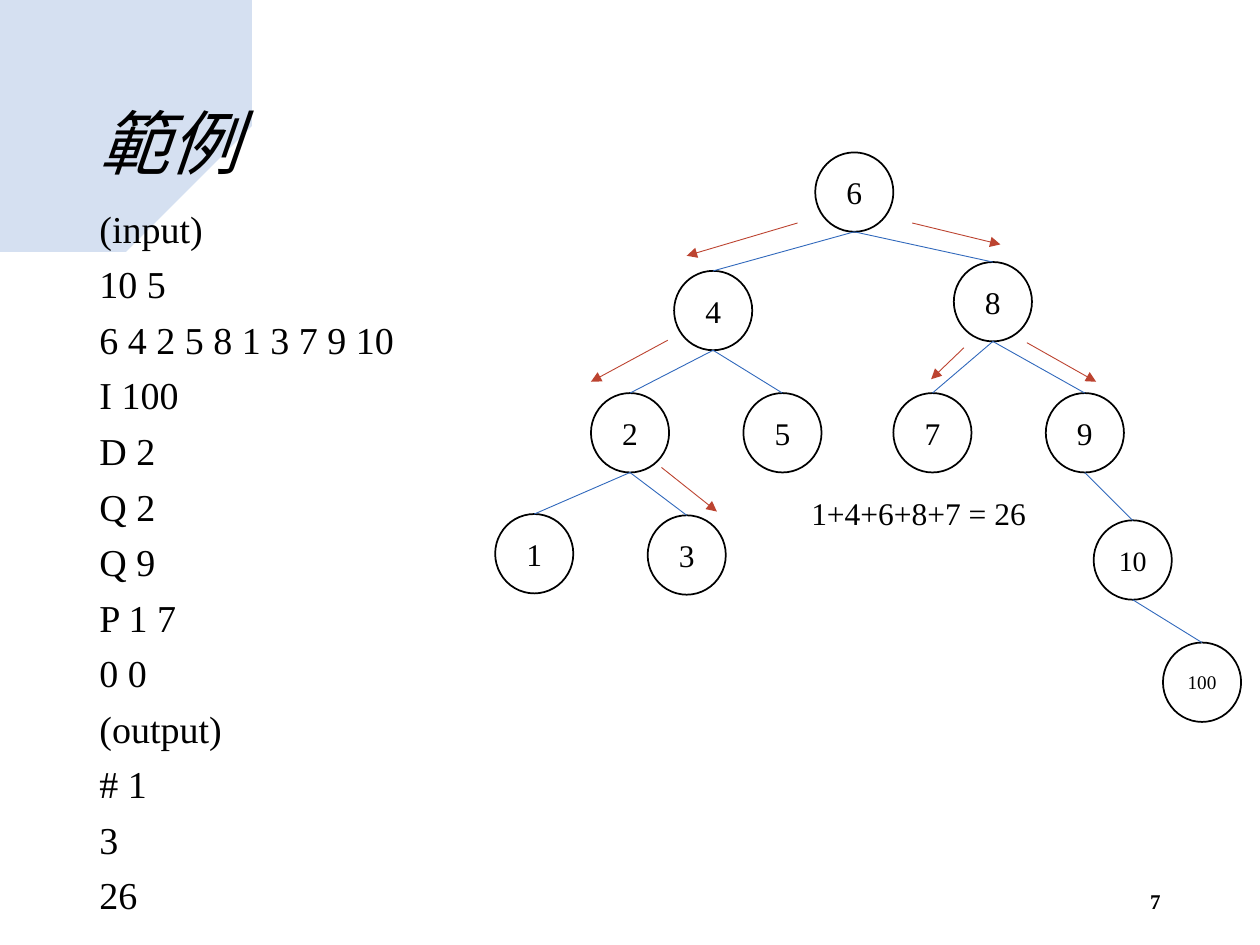
"""Builds the binary search tree example slide."""
from pptx import Presentation, util as u
from pptx.dml.color import RGBColor
from pptx.enum import shapes as sh, text as tx
from pptx.oxml.ns import qn
from lxml import etree

THEME = {
    "ink": RGBColor.from_string("000000"),
    "paper": RGBColor.from_string("FFFFFF"),
    "blue": RGBColor.from_string("3068BC"),
    "red": RGBColor.from_string("BC4330"),
    "head": "Arial", "body": "Times New Roman",
    "title": 40, "list": 21.7, "label": 18, "page": 12,
}
TITLE = "範例"
LINES = ["(input)", "10 5", "6 4 2 5 8 1 3 7 9 10", "I 100", "D 2", "Q 2", "Q 9",
         "P 1 7", "0 0", "(output)", "# 1", "3", "26"]
SUM = "1+4+6+8+7 = 26"
PAGE = "7"
WIDE, HIGH = 0.62, 0.63
NODES = {
    "6": (6.47, 1.21), "4": (5.35, 2.15), "8": (7.57, 2.08),
    "2": (4.69, 3.12), "5": (5.9, 3.12), "7": (7.09, 3.12), "9": (8.3, 3.12),
    "1": (3.93, 4.08), "3": (5.14, 4.09), "10": (8.68, 4.13), "100": (9.23, 5.1),
}
SIZES = {"10": 16, "100": 11}
TREE = {"6": ["4", "8"], "4": ["2", "5"], "8": ["7", "9"], "2": ["1", "3"],
        "9": ["10"], "10": ["100"]}
STEPS = [(6.33, 1.77, 5.45, 2.03), (5.3, 2.7, 4.69, 3.03), (5.25, 3.71, 5.69, 4.06),
         (7.24, 1.77, 7.94, 1.94), (8.15, 2.72, 8.7, 3.03), (7.65, 2.76, 7.39, 3.01)]
BRUSH = [(0, 0.34), (0.5, 0.38), (1.13, 0.38), (1.46, 0.41), (1.98, 0.4), (2.1, 0.47),
         (1.91, 0.54), (1.97, 0.62), (1.78, 0.66), (2.06, 0.74), (1.9, 0.76),
         (2.08, 0.83), (2.17, 0.85), (1.97, 0.88), (2.48, 0.94), (2.39, 1.06),
         (2.25, 1.13), (2.1, 1.2), (2.05, 1.28), (2.31, 1.28), (2.02, 1.38),
         (1.89, 1.48), (1.97, 1.48), (1.48, 1.72), (0.77, 1.88), (0.49, 1.91), (0, 1.88)]


def style(frame, size, font="body", align=None, anchor=tx.MSO_ANCHOR.TOP, **looks):
    """Format every run in a text frame."""
    frame.word_wrap = True
    frame.vertical_anchor = anchor
    for para in frame.paragraphs:
        para.alignment = align
        for run in para.runs:
            run.font.name, run.font.size = THEME[font], u.Pt(size)
            run.font.color.rgb = THEME["ink"]
            for key, value in looks.items():
                setattr(run.font, key, value)


def write(slide, box, words, size, **looks):
    """Add a formatted text box."""
    frame = slide.shapes.add_textbox(*map(u.Inches, box)).text_frame
    frame.text = words
    style(frame, size, **looks)
    return frame


def draw(slide, ends, color):
    """Add a thin straight line."""
    line = slide.shapes.add_connector(sh.MSO_CONNECTOR.STRAIGHT, *map(u.Inches, ends))
    line.line.color.rgb, line.line.width = THEME[color], u.Pt(0.5)
    etree.SubElement(line._element.spPr, qn("a:effectLst"))
    return line


def paint(slide):
    """Add the pale brush stroke."""
    pen = slide.shapes.build_freeform(*BRUSH[0], scale=u.Inches(1))
    pen.add_line_segments(BRUSH[1:], close=True)
    brush = pen.convert_to_shape()
    brush.shadow.inherit = False
    brush.fill.solid()
    brush.fill.fore_color.rgb = THEME["blue"]
    brush.line.fill.background()
    tint = brush._element.spPr.find(qn("a:solidFill"))[0]
    etree.SubElement(tint, qn("a:alpha"), val="20000")


def plant(slide):
    """Add the tree nodes, their edges and the search arrows."""
    discs = {}
    for name, (left, top) in NODES.items():
        disc = slide.shapes.add_shape(sh.MSO_SHAPE.OVAL,
                                      *map(u.Inches, (left, top, WIDE, HIGH)))
        disc.shadow.inherit = False
        disc.fill.solid()
        disc.fill.fore_color.rgb = THEME["paper"]
        disc.line.color.rgb, disc.line.width = THEME["ink"], u.Pt(1)
        frame = disc.text_frame
        frame.text = name
        frame.margin_left = frame.margin_right = 0
        style(frame, SIZES.get(name, THEME["label"]),
              align=tx.PP_ALIGN.CENTER, anchor=tx.MSO_ANCHOR.MIDDLE)
        discs[name] = disc
    for above, kids in TREE.items():
        left, top = NODES[above]
        for below in kids:
            right, low = NODES[below]
            ends = (left + WIDE / 2, top + HIGH, right + WIDE / 2, low)
            draw(slide, ends, "blue").end_connect(discs[below], 0)
    for ends in STEPS:
        arrow = draw(slide, ends, "red")
        etree.SubElement(arrow.line._get_or_add_ln(), qn("a:tailEnd"), type="triangle")


def main():
    """Build and save the slide."""
    deck = Presentation()
    deck.slide_width, deck.slide_height = u.Inches(10), u.Inches(7.5)
    slide = deck.slides.add_slide(deck.slide_layouts[6])
    paint(slide)
    middle = tx.MSO_ANCHOR.MIDDLE
    write(slide, (0.69, 0.4, 8.62, 1.45), TITLE, THEME["title"], font="head",
          anchor=middle, italic=True)
    frame = write(slide, (0.69, 1.65, 3.42, 5.59), "\n".join(LINES), THEME["list"])
    for index, para in enumerate(frame.paragraphs):
        para.line_spacing = 0.8
        para.space_before = u.Pt(10.9 if index else 0)
    write(slide, (7.06, 6.95, 2.25, 0.4), PAGE, THEME["page"],
          align=tx.PP_ALIGN.RIGHT, anchor=middle, bold=True)
    plant(slide)
    write(slide, (6.34, 3.87, 3.42, 0.4), SUM, THEME["label"])
    deck.save("out.pptx")


if __name__ == "__main__":
    main()
